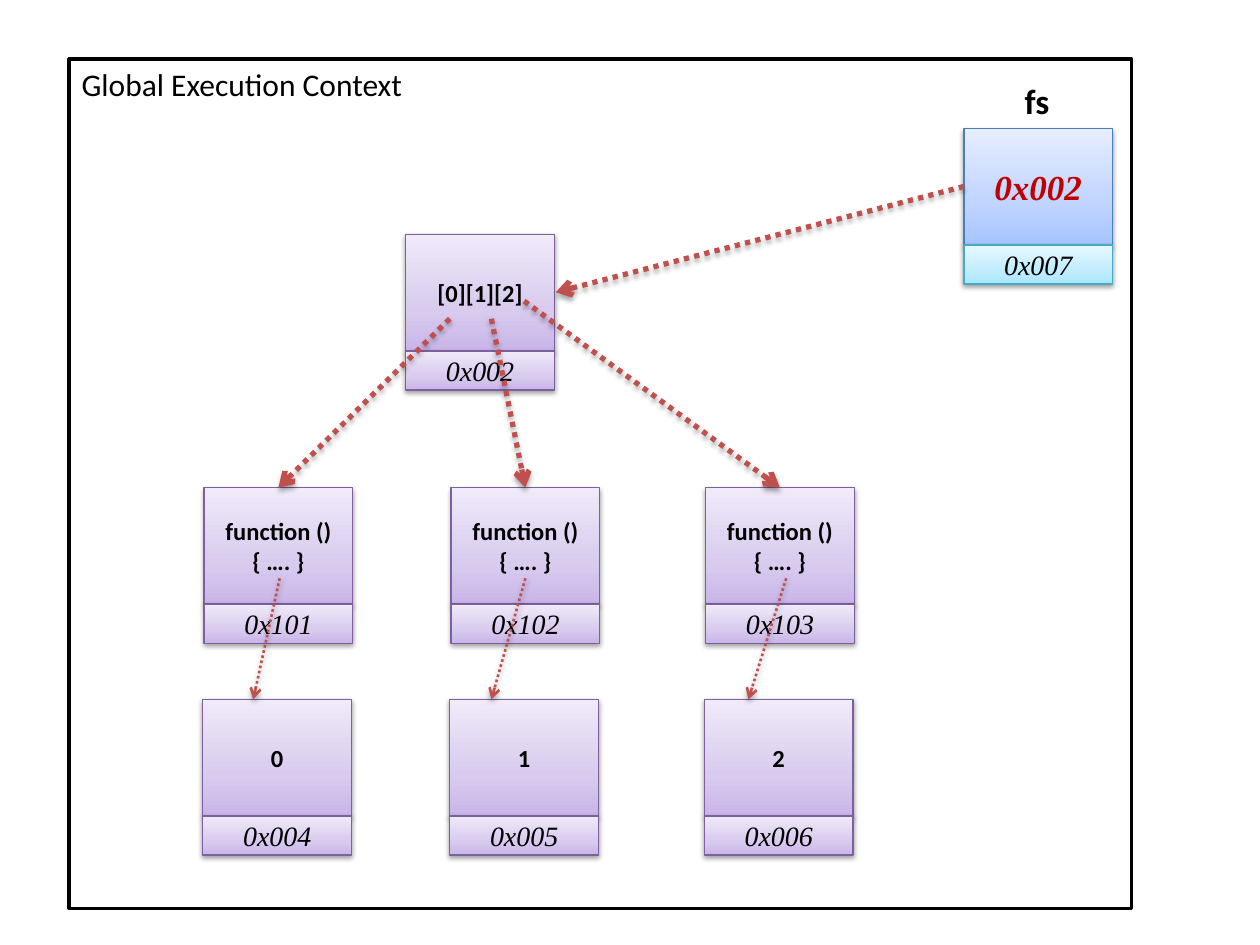
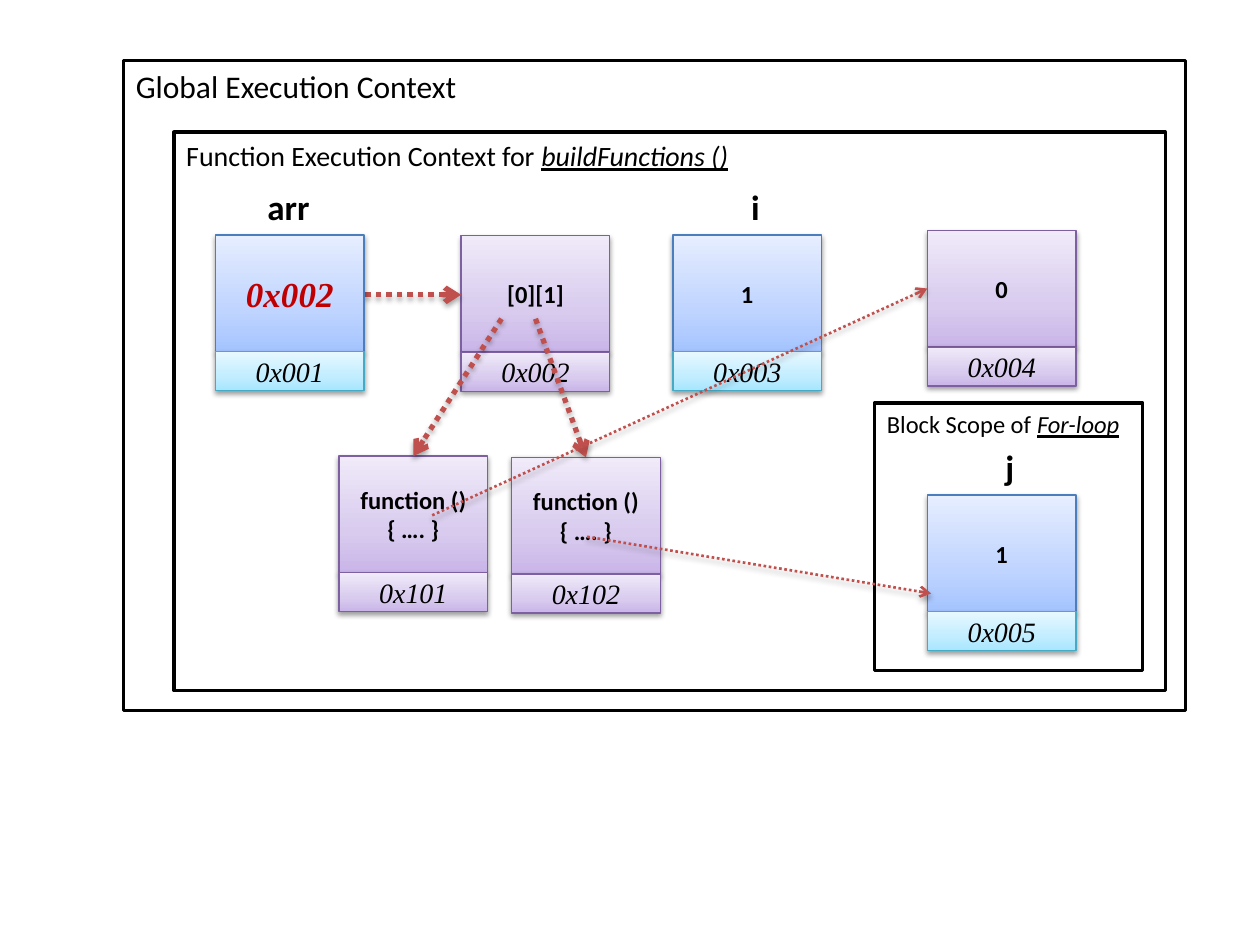
"""Draw two memory diagrams of closures, on a grid of 100 columns by 75 rows."""
from dataclasses import dataclass
from typing import NamedTuple

from pptx import Presentation
from pptx.dml.color import RGBColor as RGB
from pptx.enum.dml import MSO_LINE as Dash
from pptx.enum.shapes import MSO_CONNECTOR as Link, MSO_SHAPE as Form
from pptx.enum.text import MSO_ANCHOR as Anchor, PP_ALIGN as Align
from pptx.oxml import parse_xml
from pptx.oxml.ns import nsdecls
from pptx.util import Inches, Pt

COLS, ROWS = 100, 75
WIDE, HIGH = Inches(10), Inches(7.5)
COLORS = {"ink": "000000", "paper": "FFFFFF", "arrow": "C0504D", "ref": "C00000"}
BOX_W, BODY_H, FOOT_H = 11.8, 9.25, 3.1
TAG_H, TAG_IN = 4.4, 1.7
CODE = "function ()\v{ …. }"


class Paint(NamedTuple):
    low: str
    mid: str
    high: str
    edge: str


class Style(NamedTuple):
    size: int
    font: str = "Calibri"
    color: str = "ink"
    bold: bool = False
    slant: bool = False
    under: bool = False


PAINTS = {
    "heap": Paint("C9B5E8", "D8CBEE", "F0EAF9", "7D60A0"),
    "name": Paint("A4C4FF", "BFD4FF", "E6EEFF", "4B7EBC"),
    "cell": Paint("A7E6FF", "C1EDFF", "E7F8FF", "46AAC5"),
}
VALUE = Style(14, bold=True)
REF = Style(20, "Times New Roman", "ref", True, True)
PLACE = Style(16, "Times New Roman", slant=True)
TAG = Style(20, bold=True)


@dataclass
class Frame:
    x: float
    y: float
    w: float
    h: float
    text: str
    size: int
    stress: str = ""


@dataclass
class Box:
    x: float
    y: float
    text: str
    place: str
    tag: str = ""
    room: float = 15
    style: Style = VALUE


@dataclass
class Arrow:
    x: float
    y: float
    to_x: float
    to_y: float
    width: float = 3


def across(n: float) -> int:
    """Turn columns into a length."""
    return round(WIDE * n / COLS)


def down(n: float) -> int:
    """Turn rows into a length."""
    return round(HIGH * n / ROWS)


def area(x: float, y: float, w: float, h: float) -> tuple[int, int, int, int]:
    """Turn a grid area into lengths."""
    return across(x), down(y), across(w), down(h)


def hue(key: str) -> RGB:
    """Look up a named colour."""
    return RGB.from_string(COLORS[key])


def dress(run, style: Style) -> None:
    """Format one run."""
    font = run.font
    font.size, font.name = Pt(style.size), style.font
    font.bold, font.italic, font.underline = style.bold, style.slant, style.under
    font.color.rgb = hue(style.color)


def write(shape, text: str, style: Style) -> None:
    """Set centred text in a shape."""
    frame = shape.text_frame
    frame.word_wrap = True
    frame.text = text
    line = frame.paragraphs[0]
    line.alignment = Align.CENTER
    for run in line.runs:
        dress(run, style)


def shade(shape, alpha: int, gap: float) -> None:
    """Give a shape or line a soft shadow below it."""
    shape._element.spPr.append(parse_xml(
        f'<a:effectLst {nsdecls("a")}><a:outerShdw blurRad="{Pt(3.1)}" dist="{Pt(gap)}" '
        f'dir="5400000" rotWithShape="0"><a:srgbClr val="{COLORS["ink"]}">'
        f'<a:alpha val="{alpha * 1000}"/></a:srgbClr></a:outerShdw></a:effectLst>'))


def blend(shape, paint: Paint) -> None:
    """Fill a shape with a gradient that rises from its foot."""
    stops = "".join(f'<a:gs pos="{pos * 1000}"><a:srgbClr val="{tone}"/></a:gs>'
                    for pos, tone in zip((0, 35, 100), paint[:3]))
    fill = parse_xml(f'<a:gradFill {nsdecls("a")} rotWithShape="1"><a:gsLst>{stops}</a:gsLst>'
                     '<a:lin ang="16200000" scaled="0"/></a:gradFill>')
    shape._element.spPr.insert(2, fill)


def draw_part(group, spot: tuple, text: str, style: Style, paint: Paint) -> None:
    """Draw one half of a memory box."""
    part = group.shapes.add_shape(Form.RECTANGLE, *spot)
    blend(part, paint)
    part.line.color.rgb = RGB.from_string(paint.edge)
    part.line.width = Pt(0.75)
    shade(part, 38, 1.6)
    part.text_frame.vertical_anchor = Anchor.MIDDLE
    write(part, text, style)


def draw_box(slide, box: Box) -> None:
    """Draw a value over its address, with a name on top if it has one."""
    group = slide.shapes.add_group_shape()
    top, base = ("name", "cell") if box.tag else ("heap", "heap")
    draw_part(group, area(box.x, box.y, BOX_W, BODY_H), box.text, box.style, PAINTS[top])
    draw_part(group, area(box.x, box.y + BODY_H, BOX_W, FOOT_H), box.place, PLACE, PAINTS[base])
    if box.tag:
        spot = area(box.x - TAG_IN, box.y - TAG_H, box.room, TAG_H)
        write(group.shapes.add_textbox(*spot), box.tag, TAG)


def draw_frame(slide, frame: Frame) -> None:
    """Draw a scope outline with its caption."""
    shape = slide.shapes.add_shape(Form.RECTANGLE, *area(frame.x, frame.y, frame.w, frame.h))
    shape.shadow.inherit = False
    shape.fill.solid()
    shape.fill.fore_color.rgb = hue("paper")
    shape.line.color.rgb = hue("ink")
    shape.line.width = Pt(2)
    shape.text_frame.vertical_anchor = Anchor.TOP
    write(shape, frame.text, Style(frame.size))
    line = shape.text_frame.paragraphs[0]
    line.alignment = Align.LEFT
    if frame.stress:
        run = line.add_run()
        run.text = frame.stress
        dress(run, Style(frame.size, slant=True, under=True))


def draw_arrow(slide, arrow: Arrow) -> None:
    """Draw a dotted pointer."""
    link = slide.shapes.add_connector(Link.STRAIGHT, across(arrow.x), down(arrow.y),
                                      across(arrow.to_x), down(arrow.to_y))
    link.line.color.rgb = hue("arrow")
    link.line.width = Pt(arrow.width)
    link.line.dash_style = Dash.ROUND_DOT
    link.line._ln.append(parse_xml(f'<a:tailEnd {nsdecls("a")} type="arrow"/>'))
    shade(link, 35, 1.8)


DRAW = {Frame: draw_frame, Box: draw_box, Arrow: draw_arrow}


def draw_slide(deck, items: list) -> None:
    """Add a slide and draw its items from back to front."""
    slide = deck.slides.add_slide(deck.slide_layouts[6])
    for item in items:
        DRAW[type(item)](slide, item)


def closed_loop() -> list:
    """List the items left once the loop is over."""
    items = [Frame(5.5, 4.7, 84.3, 67.4, "Global Execution Context", 18),
             Box(32.2, 18.6, "[0][1][2]", "0x002")]
    starts = ((35.7, 25.3), (39, 25.3), (41.6, 23.9))
    threads = ((22.2, 20.1), (41.7, 39), (62.4, 59.4))
    for n, x in enumerate((16.2, 35.8, 56)):
        tail, head = threads[n]
        items += [Box(x, 38.7, CODE, f"0x{101 + n}"),
                  Box(x - 0.1, 55.5, str(n), f"0x00{4 + n}"),
                  Arrow(*starts[n], x + BOX_W / 2, 38.7),
                  Arrow(tail, 45.9, head, 55.5, 1.5)]
    return items + [Box(76.5, 10.2, "0x002", "0x007", "fs", style=REF),
                    Arrow(76.5, 14.8, 44.1, 23.2)]


def open_loop() -> list:
    """List the items that live while the loop runs."""
    return [
        Frame(9.8, 4.8, 84.3, 51.6, "Global Execution Context", 18),
        Frame(13.8, 10.5, 78.7, 44.3, "Function Execution Context for ", 16, "buildFunctions ()"),
        Box(36.6, 18.7, "[0][1]", "0x002"),
        Arrow(29, 23.4, 36.6, 23.4),
        Box(17.1, 18.65, "0x002", "0x001", "arr", style=REF),
        Box(53.4, 18.65, "1", "0x003", "i", 16.5),
        Box(26.9, 36.2, CODE, "0x101"),
        Box(40.6, 36.3, CODE, "0x102"),
        Arrow(42.5, 25.3, 46.5, 36.3),
        Arrow(39.8, 25.3, 32.8, 36.2),
        Box(73.6, 18.3, "0", "0x004"),
        Arrow(34.3, 40.9, 73.6, 22.9, 1.5),
        Frame(69.4, 32, 21.3, 21.2, "Block Scope of ", 14, "For-loop"),
        Box(73.6, 39.3, "1", "0x005", "j", 16.5),
        Arrow(46.6, 42.6, 73.9, 47.1, 1.5),
    ]


def main() -> None:
    """Build and save the deck."""
    deck = Presentation()
    deck.slide_width, deck.slide_height = WIDE, HIGH
    for items in (closed_loop(), open_loop()):
        draw_slide(deck, items)
    deck.save("out.pptx")


main()
